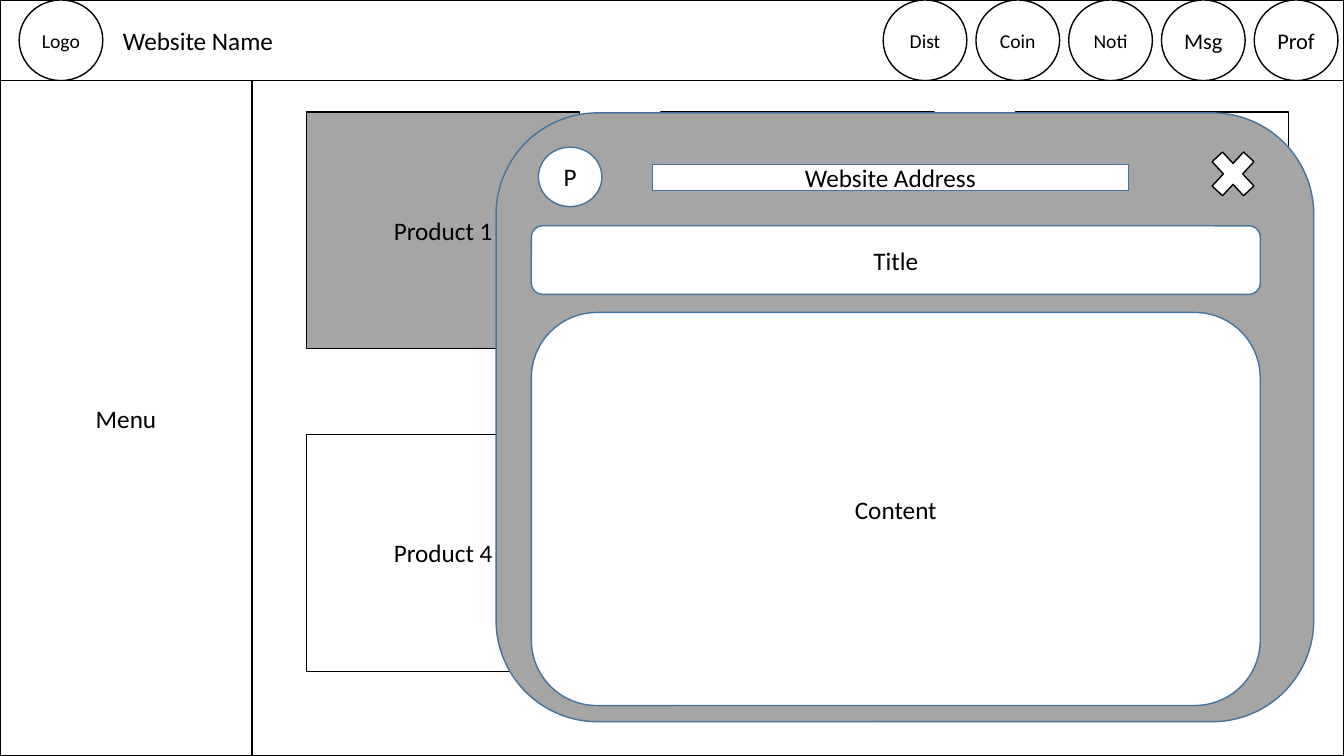
"""Build a website wireframe slide with a product pop-up."""
from dataclasses import dataclass

from pptx import Presentation
from pptx import util as u
from pptx.dml.color import RGBColor
from pptx.enum import shapes, text


@dataclass(frozen=True)
class Theme:
    font: str = "Calibri"
    white: str = "FFFFFF"
    black: str = "000000"
    gray: str = "A5A5A5"
    blue: str = "43739E"
    small: int = 14
    medium: int = 16
    body: int = 18
    outline: int = 1


theme = Theme()
kinds = shapes.MSO_SHAPE

SLIDE_W, SLIDE_H = 13.33, 7.5
HEADER_H, MENU_W = 0.8, 2.5
site_name = "Website Name"
nav_buttons = [
    ("Dist", theme.small),
    ("Coin", theme.small),
    ("Noti", theme.small),
    ("Msg", theme.medium),
    ("Prof", theme.medium),
]
products = [
    ("Product 1", theme.gray),
    ("Product 2", theme.white),
    ("Product 3", theme.white),
    ("Product 4", theme.white),
]
popup_parts = [
    (kinds.ROUNDED_RECTANGLE, (4.92, 1.12, 8.11, 6.04), "", theme.gray, theme.blue),
    (kinds.OVAL, (5.34, 1.46, 0.63, 0.59), "P", theme.white, theme.blue),
    (kinds.RECTANGLE, (6.47, 1.63, 4.72, 0.26), "Website Address", theme.white, theme.blue),
    (kinds.ROUNDED_RECTANGLE, (5.27, 3.1, 7.23, 3.9), "Content", theme.white, theme.blue),
    (kinds.ROUNDED_RECTANGLE, (5.27, 2.24, 7.23, 0.68), "Title", theme.white, theme.blue),
    (kinds.MATH_MULTIPLY, (11.93, 1.4, 0.6, 0.65), "", theme.white, theme.black),
]


def write(frame, words, size, align):
    paragraph = frame.paragraphs[0]
    paragraph.alignment = align
    run = paragraph.add_run()
    run.text = words
    run.font.name = theme.font
    run.font.size = u.Pt(size)
    run.font.color.rgb = RGBColor.from_string(theme.black)


def add_part(parent, kind, box, label="", fill=theme.white, line=theme.black,
             size=theme.body, wrap=True):
    part = parent.add_shape(kind, *map(u.Inches, box))
    part.shadow.inherit = False
    part.fill.solid()
    part.fill.fore_color.rgb = RGBColor.from_string(fill)
    part.line.color.rgb = RGBColor.from_string(line)
    part.line.width = u.Pt(theme.outline)
    if label:
        part.text_frame.word_wrap = wrap
        part.text_frame.vertical_anchor = text.MSO_ANCHOR.MIDDLE
        write(part.text_frame, label, size, text.PP_ALIGN.CENTER)


deck = Presentation()
deck.slide_width, deck.slide_height = u.Inches(SLIDE_W), u.Inches(SLIDE_H)
page = deck.slides.add_slide(deck.slide_layouts[6]).shapes

add_part(page, kinds.RECTANGLE, (0, 0, SLIDE_W, HEADER_H))
add_part(page, kinds.OVAL, (0.19, 0, 0.83, 0.8), "Logo", size=theme.small, wrap=False)
site_title = page.add_textbox(*map(u.Inches, (1.12, 0.2, 2.76, 0.4))).text_frame
site_title.word_wrap = True
write(site_title, site_name, theme.body, text.PP_ALIGN.LEFT)

for index, (label, size) in enumerate(nav_buttons):
    add_part(page, kinds.OVAL, (8.76 + 0.92 * index, 0, 0.83, 0.8), label,
             size=size, wrap=False)

body_h = SLIDE_H - HEADER_H
add_part(page, kinds.RECTANGLE, (0, HEADER_H, MENU_W, body_h), "Menu")
add_part(page, kinds.RECTANGLE, (MENU_W, HEADER_H, SLIDE_W - MENU_W, body_h))

for index, (label, fill) in enumerate(products):
    row, column = divmod(index, 3)
    box = (3.04 + 3.515 * column, 1.11 + 3.2 * row, 2.71, 2.35)
    add_part(page, kinds.RECTANGLE, box, label, fill)

popup = page.add_group_shape().shapes
for part in popup_parts:
    add_part(popup, *part)

deck.save("out.pptx")
